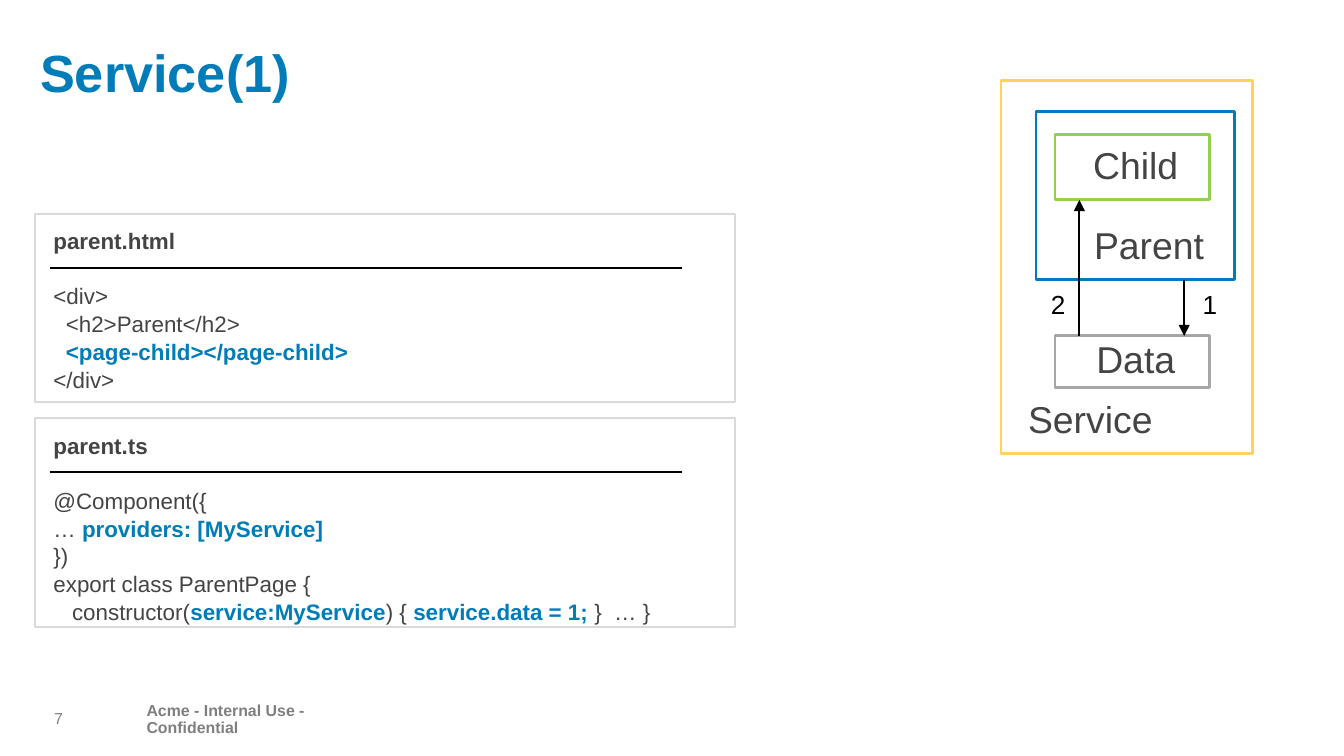
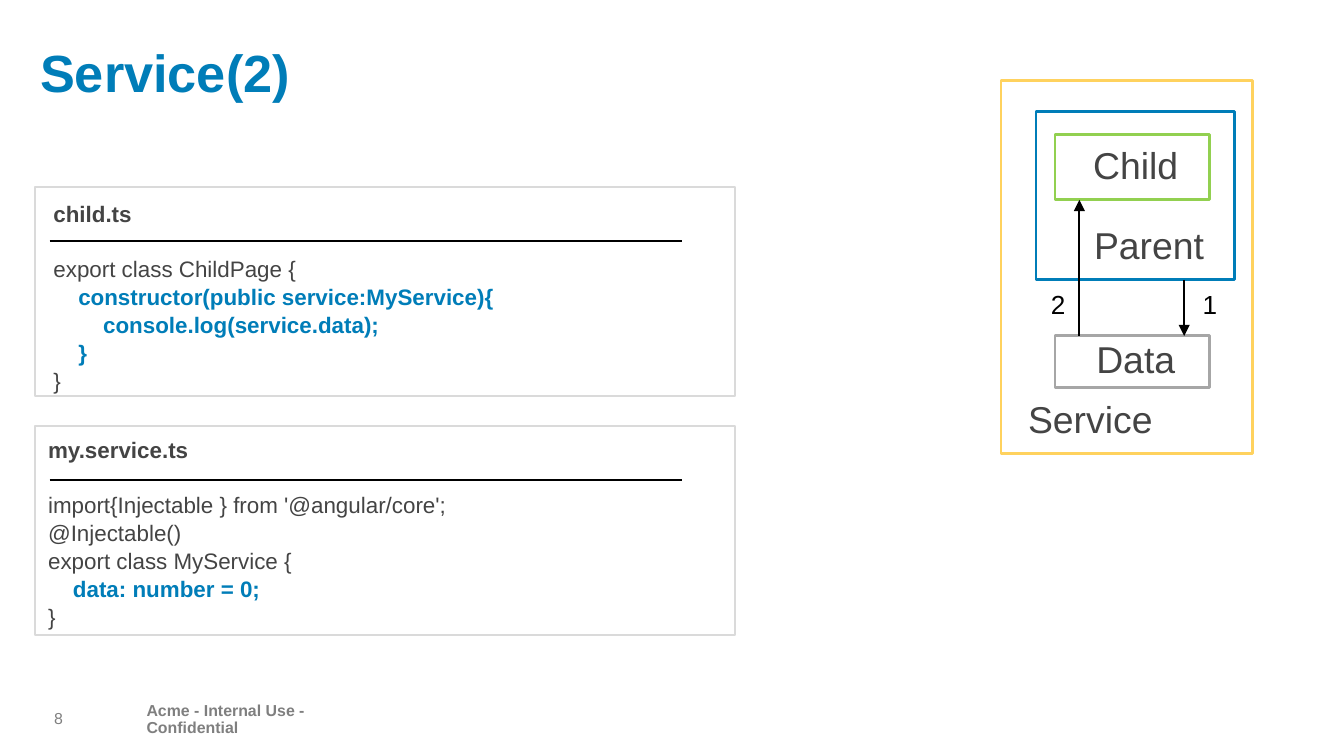
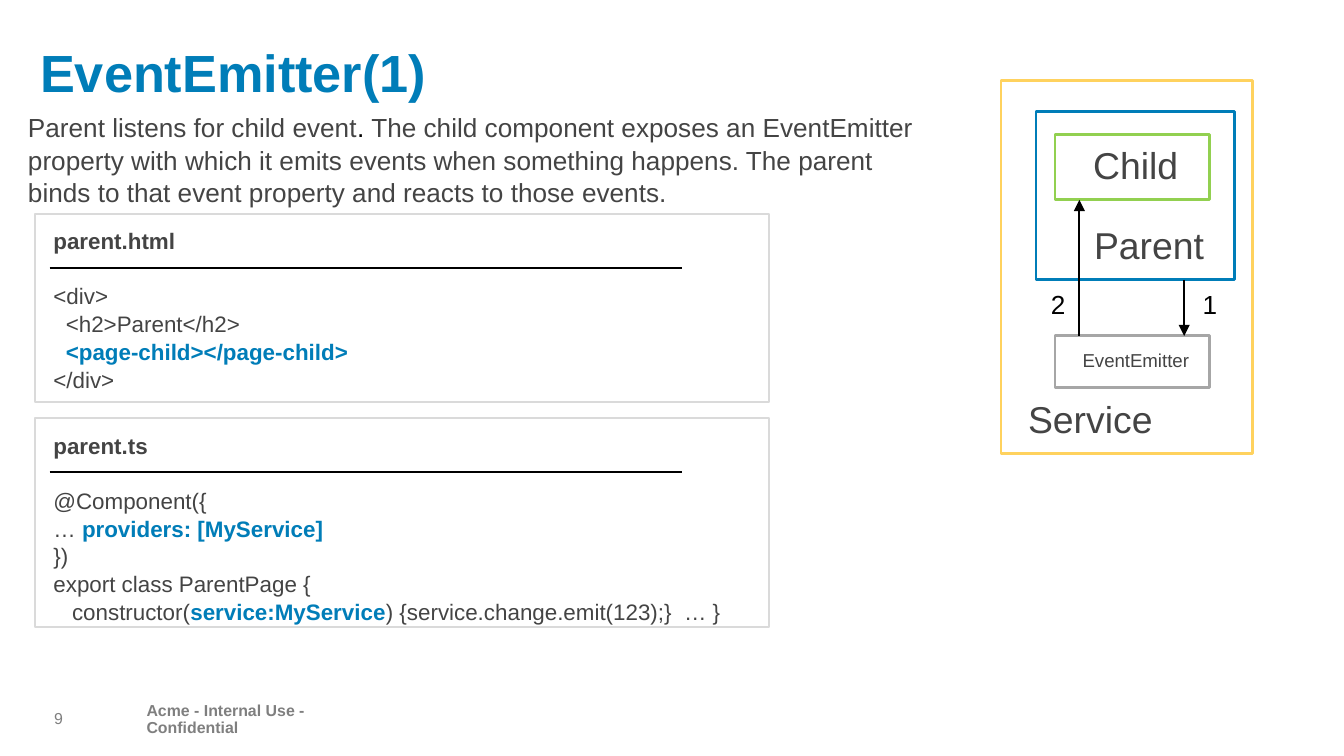
from lxml import etree
from pptx import Presentation
from pptx.dml.color import RGBColor
from pptx.enum.shapes import MSO_CONNECTOR, MSO_SHAPE
from pptx.enum.text import MSO_ANCHOR, MSO_AUTO_SIZE, PP_ALIGN
from pptx.oxml.ns import qn
from pptx.util import Cm, Pt

RECTANGLE = MSO_SHAPE.RECTANGLE
STRAIGHT = MSO_CONNECTOR.STRAIGHT
TOP, MIDDLE, BOTTOM = MSO_ANCHOR.TOP, MSO_ANCHOR.MIDDLE, MSO_ANCHOR.BOTTOM
LEFT, CENTER, RIGHT = PP_ALIGN.LEFT, PP_ALIGN.CENTER, PP_ALIGN.RIGHT
NO_AUTOFIT = MSO_AUTO_SIZE.NONE

BLUE = RGBColor(0x00, 0x7D, 0xB8)
YELLOW = RGBColor(0xFF, 0xD2, 0x5E)
GREEN = RGBColor(0x92, 0xD0, 0x50)
GRAY = RGBColor(0xA6, 0xA6, 0xA6)
PALE_GRAY = RGBColor(0xDA, 0xDA, 0xDA)
FOOTER_GRAY = RGBColor(0x7F, 0x7F, 0x7F)
TEXT_GRAY = RGBColor(0x44, 0x44, 0x44)
BLACK = RGBColor(0, 0, 0)

FONT = "Arial"
CODE_LINE_SPACING = 1.04
SPACE_WIDTH = 0.1175
FOOTER = "Acme - Internal Use - Confidential"
PARENT_HTML = ["parent.html", "<div>", "  <h2>Parent</h2>",
               "  |<page-child></page-child>", "</div>"]
PARENT_TS = ["parent.ts", "@Component({", "… |providers: [MyService]", "})",
             "export class ParentPage {"]
CHILD_TS = ["child.ts", "export class ChildPage {",
            "    |constructor(public service:MyService){",
            "        |console.log(service.data);", "    |}", "}"]
SERVICE_TS = ["my.service.ts", "import{Injectable } from '@angular/core';",
              "@Injectable()", "export class MyService {",
              "    |data: number = 0;", "}"]
SERVICE_CALL = "   constructor(|service:MyService|) { |service.data = 1;| }  … }"
EMITTER_CALL = "   constructor(|service:MyService|) {service.change.emit(123);}  … }"
INTRO = [
    ("Parent listens for child event", TEXT_GRAY),
    (".", BLACK),
    (" The child component exposes an EventEmitter property with which it emits "
     "events when something happens. The parent binds to that event property "
     "and reacts to those events.", TEXT_GRAY),
]

# title, diagram label and size, panel width, panels: top, height, text left, text drop, lines
SLIDES = [
    ("Service(1)", "Data", 20, 13.23, [
        (4.04, 3.56, 0.76, 0.11, PARENT_HTML),
        (7.9, 3.96, 0.76, 0.12, PARENT_TS + [SERVICE_CALL])]),
    ("Service(2)", "Data", 20, 13.23, [
        (3.53, 3.96, 0.76, 0.11, CHILD_TS),
        (8.05, 3.96, 0.66, 0.05, SERVICE_TS)]),
    ("EventEmitter(1)", "EventEmitter", 10, 13.87, [
        (4.04, 3.56, 0.76, 0.11, PARENT_HTML),
        (7.9, 3.96, 0.76, 0.12, PARENT_TS + [EMITTER_CALL])]),
]


def write(paragraph, text, size, color, bold=False, **formats):
    run = paragraph.add_run()
    run.text = text
    run.font.color.rgb = color
    for name, value in {"name": FONT, "size": Pt(size), "bold": bold}.items():
        setattr(run.font, name, value)
    for name, value in formats.items():
        setattr(paragraph, name, value)


def add_line(shapes, x1, y1, x2, y2, arrow=False):
    line = shapes.add_connector(STRAIGHT, Cm(x1), Cm(y1), Cm(x2), Cm(y2))
    line.line.color.rgb = BLACK
    line.line.width = Pt(1)
    if arrow:
        etree.SubElement(line.line._get_or_add_ln(), qn("a:tailEnd"), type="triangle")
    etree.SubElement(line._element.spPr, qn("a:effectLst"))


presentation = Presentation()
presentation.slide_width = Cm(25.4)
presentation.slide_height = Cm(14.29)

for number, (title, label, label_size, panel_width, panels) in enumerate(SLIDES, 7):
    slide = presentation.slides.add_slide(presentation.slide_layouts[5])
    shapes = slide.shapes

    heading = shapes.title
    for name, value in {"left": 0.76, "top": 0.76, "width": 22.1, "height": 1.78}.items():
        setattr(heading, name, Cm(value))
    for name, value in {"margin_left": 0, "margin_right": 0, "margin_top": Cm(0.13),
                        "margin_bottom": Cm(0.13), "vertical_anchor": TOP,
                        "auto_size": NO_AUTOFIT}.items():
        setattr(heading.text_frame, name, value)
    write(heading.text_frame.paragraphs[0], title, 28, BLUE, True,
          alignment=LEFT, line_spacing=0.9)

    for left, width, text, bold, alignment in [
            (2.77, 4.57, FOOTER, True, LEFT), (0.81, 0.38, str(number), False, RIGHT)]:
        frame = shapes.add_textbox(Cm(left), Cm(13.44), Cm(width), Cm(0.33)).text_frame
        for name, value in {"margin_left": 0, "margin_right": 0, "margin_top": 0,
                            "margin_bottom": 0, "vertical_anchor": MIDDLE,
                            "word_wrap": False}.items():
            setattr(frame, name, value)
        write(frame.paragraphs[0], text, 8.5, FOOTER_GRAY, bold,
              alignment=alignment, line_spacing=0.9)

    for left, top, width, height, color, text, size, anchor, alignment, right_margin in [
            (18.92, 1.52, 4.75, 7.06, YELLOW, "Service", 20, BOTTOM, LEFT, 0.38),
            (19.58, 2.11, 3.76, 3.18, BLUE, "Parent", 20, BOTTOM, RIGHT, 0.58),
            (19.94, 2.54, 2.92, 1.24, GREEN, "Child", 20, MIDDLE, CENTER, 0.38),
            (19.94, 6.35, 2.92, 0.97, GRAY, label, label_size, MIDDLE, CENTER, 0.38)]:
        box = shapes.add_shape(RECTANGLE, Cm(left), Cm(top), Cm(width), Cm(height))
        box.shadow.inherit = False
        box.fill.background()
        box.line.color.rgb = color
        box.line.width = Pt(1.5)
        margin = Cm(0.24) if anchor == BOTTOM else 0
        for name, value in {"margin_left": Cm(0.51), "margin_right": Cm(right_margin),
                            "margin_top": margin, "margin_bottom": margin,
                            "vertical_anchor": anchor, "word_wrap": True}.items():
            setattr(box.text_frame, name, value)
        write(box.text_frame.paragraphs[0], text, size, TEXT_GRAY,
              alignment=alignment, line_spacing=0.9)

    add_line(shapes, 22.38, 5.29, 22.38, 6.35, True)
    add_line(shapes, 20.4, 6.35, 20.4, 3.78, True)
    for left, step in [(22.48, "1"), (19.61, "2")]:
        frame = shapes.add_textbox(Cm(left), Cm(5.33), Cm(0.79), Cm(0.86)).text_frame
        frame.word_wrap = False
        write(frame.paragraphs[0], step, 14, BLACK)

    for top, height, text_left, text_drop, lines in panels:
        panel = shapes.add_shape(RECTANGLE, Cm(0.66), Cm(top), Cm(panel_width), Cm(height))
        panel.shadow.inherit = False
        panel.fill.background()
        panel.line.color.rgb = PALE_GRAY
        panel.line.width = Pt(1)
        frame = shapes.add_textbox(Cm(text_left), Cm(top + text_drop),
                                   Cm(0.66 + panel_width - text_left),
                                   Cm(height - 0.13)).text_frame
        frame.word_wrap = True
        file_name, *code = lines
        write(frame.paragraphs[0], file_name, 12, TEXT_GRAY, True,
              line_spacing=CODE_LINE_SPACING, space_after=Pt(14.4))
        for code_line in code:
            paragraph = frame.add_paragraph()
            paragraph.line_spacing = CODE_LINE_SPACING
            stripped = code_line.lstrip()
            indent = Cm(SPACE_WIDTH * (len(code_line) - len(stripped)))
            properties = paragraph._p.get_or_add_pPr()
            properties.set("marL", str(indent))
            properties.set("indent", "0")
            for position, text in enumerate(stripped.split("|")):
                if text:
                    marked = position % 2 == 1
                    write(paragraph, text, 12, BLUE if marked else TEXT_GRAY, marked)
        add_line(shapes, 0.94, top + 1.02, 12.88, top + 1.02)

    if label == "EventEmitter":
        frame = shapes.add_textbox(Cm(0.28), Cm(1.96), Cm(17.37), Cm(2.64)).text_frame
        frame.word_wrap = True
        for text, color in INTRO:
            write(frame.paragraphs[0], text, 14, color, line_spacing=CODE_LINE_SPACING)

presentation.save("out.pptx")
